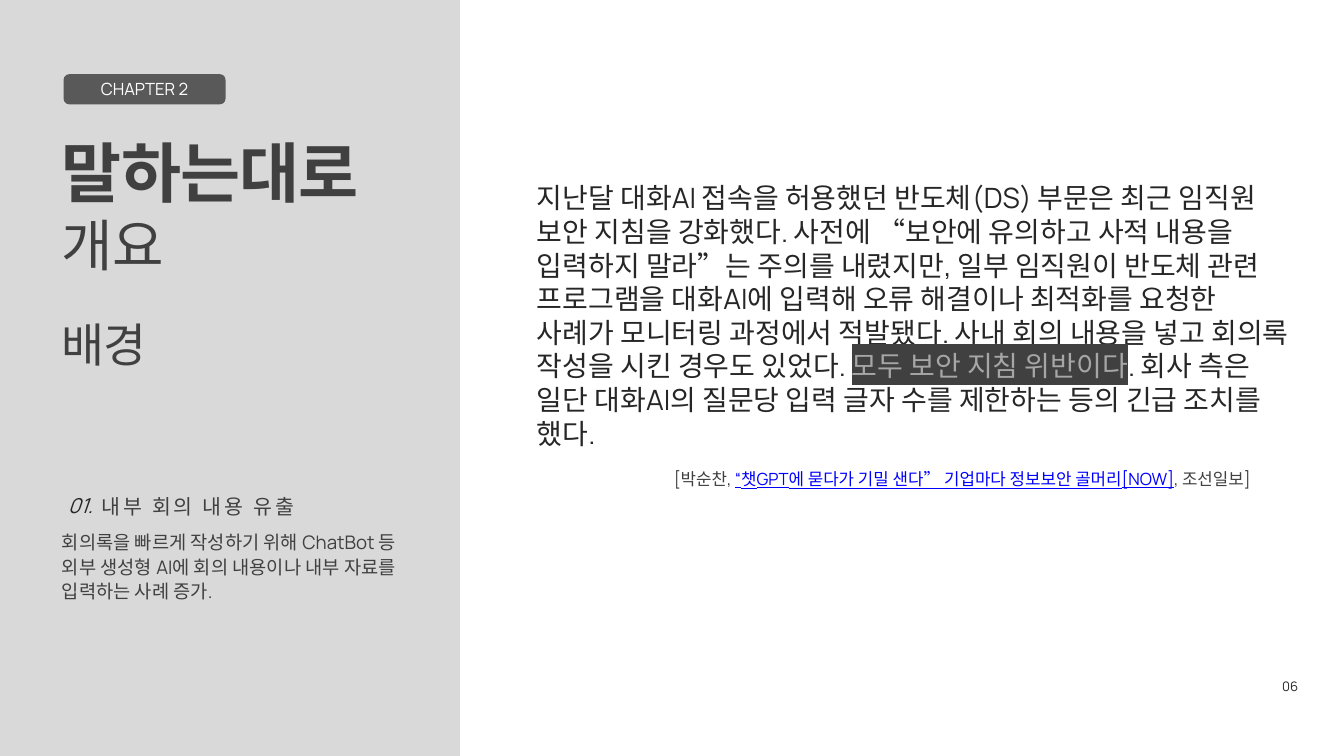
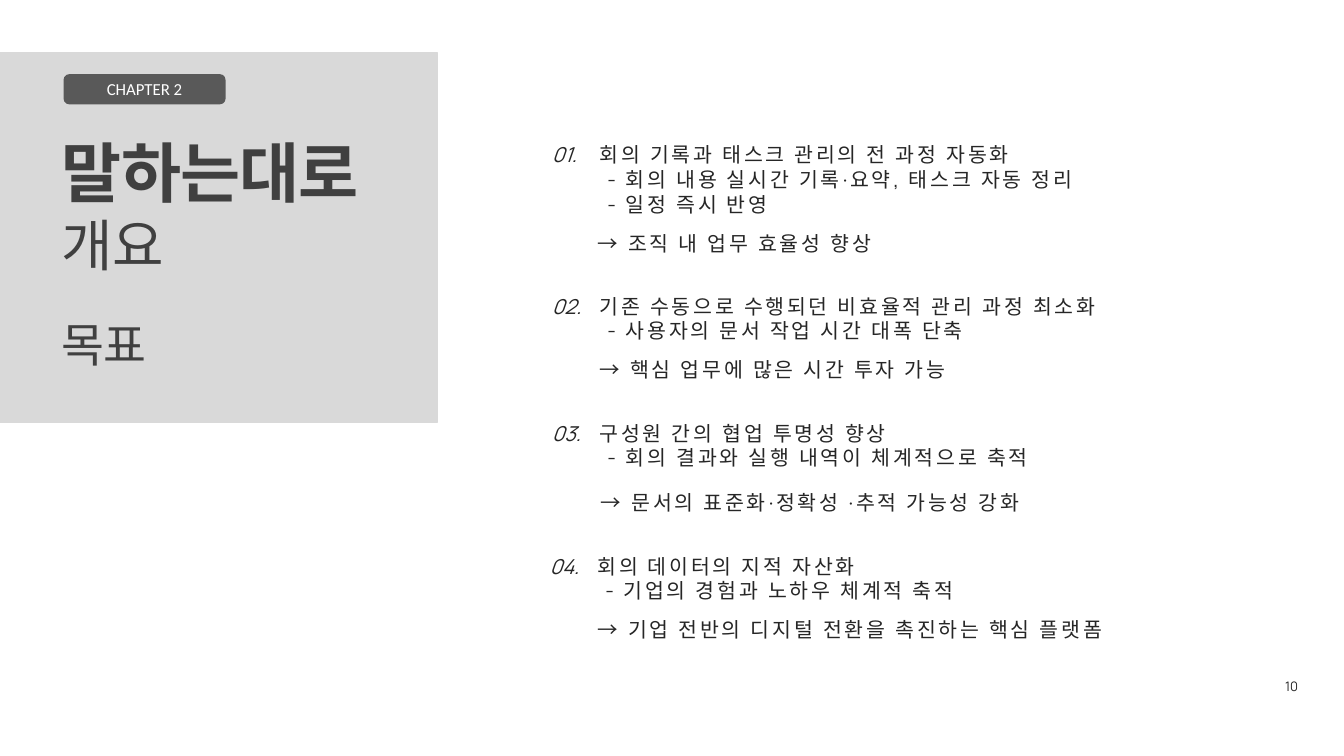
from lxml import etree
from pptx import Presentation, util as u
from pptx.dml.color import RGBColor
from pptx.enum import shapes, text
from pptx.oxml.ns import qn

# Content: a run is (text, style changes)
CHAPTER = "CHAPTER 2"
PROJECT, SECTION = "말하는대로", "개요"

ARTICLE = [
    ("지난달 대화AI 접속을 허용했던 반도체(DS) 부문은 최근 임직원 보안 지침을 강화했다. "
     "사전에 “보안에 유의하고 사적 내용을 입력하지 말라”는 주의를 내렸지만, 일부 임직원이 "
     "반도체 관련 프로그램을 대화AI에 입력해 오류 해결이나 최적화를 요청한 사례가 모니터링 "
     "과정에서 적발됐다. 사내 회의 내용을 넣고 회의록 작성을 시킨 경우도 있었다. ", {}),
    ("모두 보안 지침 위반이다", {"color": "A6A6A6", "highlight": "404040"}),
    (". 회사 측은 일단 대화AI의 질문당 입력 글자 수를 제한하는 등의 긴급 조치를 했다.", {}),
]
CITATION = [
    ("[박순찬, ", {}),
    ("“챗GPT에 묻다가 기밀 샌다” 기업마다 정보보안 골머리[NOW]",
     {"color": "0000FF", "underline": True}),
    (", 조선일보]", {}),
]
LEAK_HEADING = "내부 회의 내용 유출"
LEAK_LINES = ["회의록을 빠르게 작성하기 위해 ChatBot 등",
              "외부 생성형 AI에 회의 내용이나 내부 자료를",
              "입력하는 사례 증가."]

# Goals: heading, details, result, (left, top, width, height) of list and of result
GOALS = [
    ("회의 기록과 태스크 관리의 전 과정 자동화",
     ["회의 내용 실시간 기록·요약, 태스크 자동 정리", "일정 즉시 반영"],
     "조직 내 업무 효율성 향상",
     (22.66, 5.38, 19.69, 3.15), (22.58, 8.74, 19.69, 1.27)),
    ("기존 수동으로 수행되던 비효율적 관리 과정 최소화",
     ["사용자의 문서 작업 시간 대폭 단축"],
     "핵심 업무에 많은 시간 투자 가능",
     (22.66, 11.1, 20.96, 1.9), (22.66, 13.49, 19.69, 1.27)),
    ("구성원 간의 협업 투명성 향상",
     ["회의 결과와 실행 내역이 체계적으로 축적"],
     "문서의 표준화·정확성 ·추적 가능성 강화",
     (22.66, 15.9, 19.69, 2.11), (22.71, 18.52, 19.69, 1.27)),
    ("회의 데이터의 지적 자산화",
     ["기업의 경험과 노하우 체계적 축적"],
     "기업 전반의 디지털 전환을 촉진하는 핵심 플랫폼",
     (22.58, 20.93, 20.96, 1.9), (22.58, 23.32, 22.43, 1.3)),
]

# Shared look
PANEL, TAG, DARK, INK, WHITE = "D9D9D9", "595959", "404040", "262626", "FFFFFF"
BASE = {"size": 22, "name": "Manrope", "color": INK, "bold": False}
SPACED = {"spacing": 300}
NUMBER_GAP = 1.8
DETAIL_INDENT = 0.3
NO_INSETS, DEFAULT_INSETS = (0, 0), (0.25, 0.13)


def rgb(value):
    return RGBColor.from_string(value)


def place(shape, box):
    for name, value in zip(("left", "top", "width", "height"), box):
        setattr(shape, name, u.Cm(value))


def style_run(run, style):
    for name in ("name", "bold", "italic", "underline"):
        if name in style:
            setattr(run.font, name, style[name])
    run.font.size = u.Pt(style["size"])
    run.font.color.rgb = rgb(style["color"])
    properties = run._r.get_or_add_rPr()
    if "spacing" in style:
        properties.set("spc", str(style["spacing"]))
    if "highlight" in style:
        highlight = etree.Element(qn("a:highlight"))
        etree.SubElement(highlight, qn("a:srgbClr")).set("val", style["highlight"])
        properties.find(qn("a:solidFill")).addnext(highlight)


def write(shape, paragraphs, style=None, insets=NO_INSETS, wrap=True,
          anchor=text.MSO_ANCHOR.TOP, grow=False, **paragraph_format):
    """Fill a shape; each paragraph is (runs, own paragraph format)."""
    frame = shape.text_frame
    side, end = map(u.Cm, insets)
    frame_format = {
        "margin_left": side, "margin_right": side, "margin_top": end,
        "margin_bottom": end, "word_wrap": wrap, "vertical_anchor": anchor,
        "auto_size": (text.MSO_AUTO_SIZE.SHAPE_TO_FIT_TEXT if grow
                      else text.MSO_AUTO_SIZE.NONE)}
    for name, value in frame_format.items():
        setattr(frame, name, value)
    for index, (runs, own_format) in enumerate(paragraphs):
        paragraph = frame.add_paragraph() if index else frame.paragraphs[0]
        settings = {"alignment": text.PP_ALIGN.LEFT, "line_spacing": 1.0,
                    "space_before": u.Pt(0), "indent": 0,
                    **paragraph_format, **own_format}
        properties = paragraph._p.get_or_add_pPr()
        properties.set("marL", str(u.Cm(settings.pop("indent"))))
        properties.set("indent", "0")
        etree.SubElement(properties, qn("a:buNone"))
        for name, value in settings.items():
            setattr(paragraph, name, value)
        for words, changes in runs:
            run = paragraph.add_run()
            run.text = words
            style_run(run, {**BASE, **(style or {}), **changes})


def line(words, changes=None, **own_format):
    return [(words, changes or {})], own_format


def add_text(slide, box, paragraphs, style=None, **options):
    shape = slide.shapes.add_textbox(*map(u.Cm, box))
    write(shape, paragraphs, style, **options)


def add_block(slide, kind, box, color):
    block = slide.shapes.add_shape(kind, *map(u.Cm, box))
    block.shadow.inherit = False
    block.fill.solid()
    block.fill.fore_color.rgb = rgb(color)
    block.line.color.rgb = rgb(color)
    block.line.width = u.Pt(2)
    return block


def add_number(slide, box, number):
    add_text(slide, box, [line(f"{number:02d}.")], {"italic": True})


def add_chapter_slide(presentation, layout, panel_box, topic, page, tag_font="Manrope"):
    """Slide with the grey panel, chapter tag, title and page number."""
    slide = presentation.slides.add_slide(presentation.slide_layouts[layout])
    panel = add_block(slide, shapes.MSO_SHAPE.RECTANGLE, panel_box, PANEL)
    slide.shapes.element.insert(2, panel.element)

    title = slide.shapes.title
    place(title, (2.34, 4.98, 13.16, 5.74))
    write(title, [line(PROJECT, {"size": 70, "bold": True}),
                  line(SECTION, {"size": 60}),
                  line(topic, {"size": 50}, space_before=u.Pt(41))],
          {"color": DARK, "spacing": -100})

    tag = add_block(slide, shapes.MSO_SHAPE.ROUNDED_RECTANGLE,
                    (2.44, 2.84, 6.05, 1.07), TAG)
    write(tag, [line(CHAPTER)], {"size": 18, "color": WHITE, "name": tag_font},
          insets=DEFAULT_INSETS, anchor=text.MSO_ANCHOR.MIDDLE,
          alignment=text.PP_ALIGN.CENTER)

    add_text(slide, (47.55, 25.55, 1.52, 0.71), [line(page)], {"size": 14},
             anchor=text.MSO_ANCHOR.BOTTOM, alignment=text.PP_ALIGN.RIGHT,
             line_spacing=1.16)
    return slide


def build_background(presentation):
    slide = add_chapter_slide(presentation, 1, (0, 0, 17.35, 28.58), "배경", "06")

    # Leak case on the panel
    add_number(slide, (2.57, 18.62, 1.47, 1.09), 1)
    add_text(slide, (3.84, 18.69, 15.62, 1.09), [line(LEAK_HEADING)],
             {"color": DARK, **SPACED})
    add_text(slide, (2.34, 20.02, 17.4, 2.82), [line(words) for words in LEAK_LINES],
             {"size": 20, "color": DARK}, line_spacing=1.08)

    # Article and its citation
    article = slide.placeholders[1]
    place(article, (20.04, 6.71, 29.21, 10.52))
    write(article, [(ARTICLE, {})], {"size": 30}, insets=DEFAULT_INSETS, grow=True)
    add_text(slide, (25.22, 17.6, 23.8, 1.02), [(CITATION, {})],
             {"size": 18, "color": DARK}, insets=DEFAULT_INSETS, wrap=False, grow=True)


def build_goals(presentation):
    slide = add_chapter_slide(presentation, 4, (0, 2.01, 16.54, 13.94), "목표", "10",
                              tag_font="Calibri")
    for number, (heading, details, result, list_box, result_box) in enumerate(GOALS, 1):
        left, top = list_box[:2]
        add_number(slide, (left - NUMBER_GAP, top, 1.47, 1.09), number)
        goal = slide.placeholders[number]
        place(goal, list_box)
        write(goal, [line(heading)] + [line(f"- {detail}", indent=DETAIL_INDENT)
                                       for detail in details], SPACED)
        add_text(slide, result_box, [line(f"→ {result}")], SPACED)


def main():
    presentation = Presentation()
    presentation.slide_width = u.Cm(50.8)
    presentation.slide_height = u.Cm(28.58)
    build_background(presentation)
    build_goals(presentation)
    presentation.save("out.pptx")


if __name__ == "__main__":
    main()
